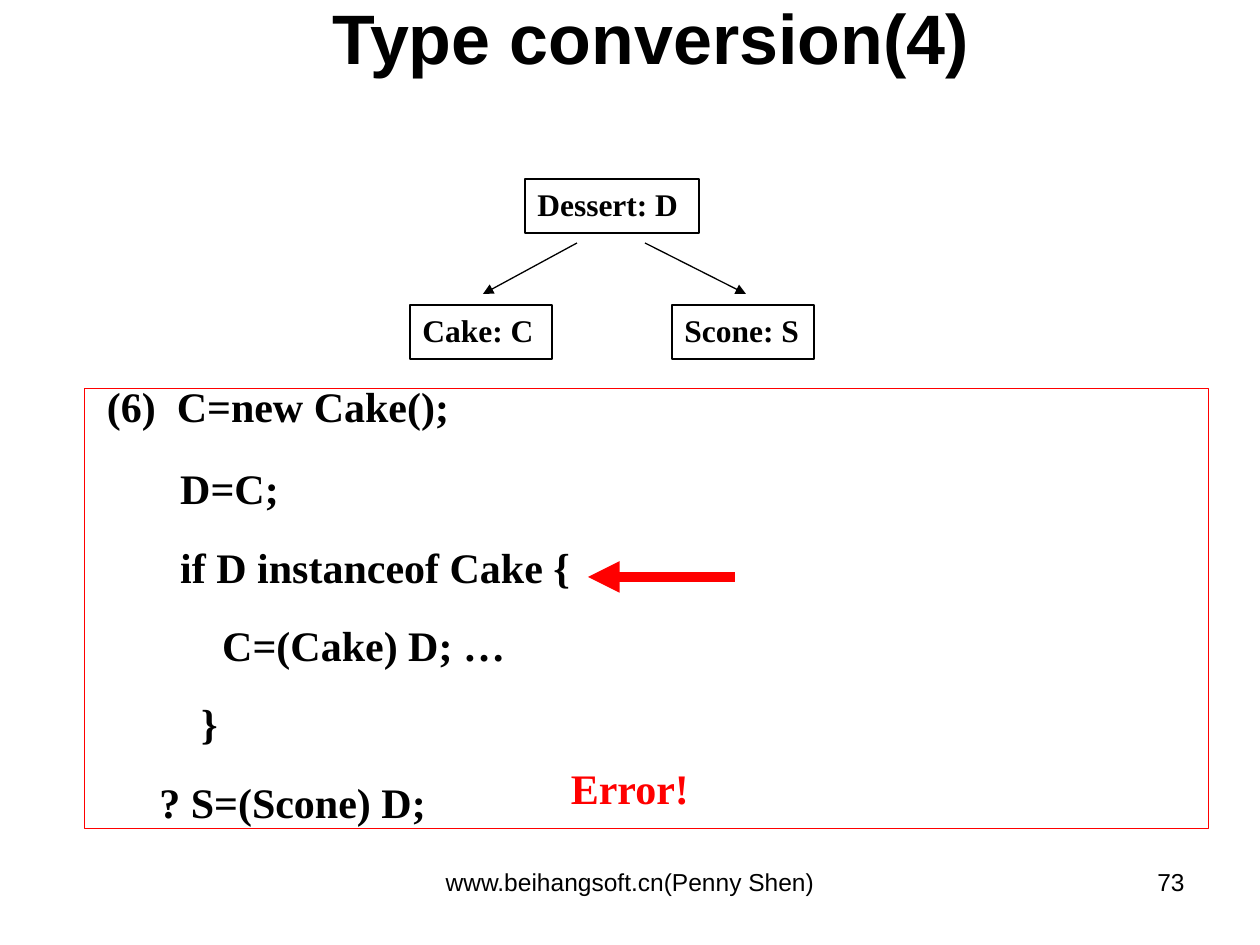
import pptx
import pptx.dml.color
import pptx.enum.shapes
import pptx.enum.text
import pptx.oxml
import pptx.oxml.ns
import pptx.util

BLACK = pptx.dml.color.RGBColor(0, 0, 0)
WHITE = pptx.dml.color.RGBColor(255, 255, 255)
RED = pptx.dml.color.RGBColor(255, 0, 0)
ALIGN = pptx.enum.text.PP_ALIGN
SANS = "Arial"
SERIF = "Times New Roman"
PIXELS_PER_INCH = 126

CODE_LINES = [
    (" (6)  C=new Cake();", 0),
    ("        D=C;", 19),
    ("        if D instanceof Cake {", 16),
    ("            C=(Cake) D; …", 16),
    ("          }", 16),
    ("      ? S=(Scone) D;", 16),
]


def px(value):
    return pptx.util.Inches(value / PIXELS_PER_INCH)


def format_paragraph(paragraph, size, name, color=BLACK, bold=False, align=ALIGN.LEFT):
    paragraph.alignment = align
    font = paragraph.font
    font.size = pptx.util.Pt(size)
    font.name = name
    font.bold = bold
    font.color.rgb = color


def set_title(slide, text):
    title = slide.shapes.title
    title.left, title.top, title.width, title.height = px(62), px(0), px(1177), px(73)
    title.text_frame.text = text
    title.text_frame.vertical_anchor = pptx.enum.text.MSO_ANCHOR.MIDDLE
    format_paragraph(title.text_frame.paragraphs[0], 40, SANS, bold=True, align=ALIGN.CENTER)


def add_label(slide, text, left, top, width, height, size, name, **style):
    box = slide.shapes.add_textbox(px(left), px(top), px(width), px(height))
    box.text_frame.word_wrap = True
    box.text_frame.text = text
    format_paragraph(box.text_frame.paragraphs[0], size, name, **style)


def add_frame(slide, left, top, width, height, line_color, line_width):
    shape = slide.shapes.add_shape(
        pptx.enum.shapes.MSO_SHAPE.RECTANGLE, px(left), px(top), px(width), px(height))
    shape.shadow.inherit = False
    shape.fill.background()
    shape.line.color.rgb = line_color
    shape.line.width = pptx.util.Pt(line_width)
    shape.text_frame.word_wrap = True
    shape.text_frame.vertical_anchor = pptx.enum.text.MSO_ANCHOR.TOP
    return shape


def add_class_box(slide, text, left, top, width):
    shape = add_frame(slide, left, top, width, 54, BLACK, 0.75)
    shape.fill.solid()
    shape.fill.fore_color.rgb = WHITE
    shape.text_frame.text = text
    format_paragraph(shape.text_frame.paragraphs[0], 18, SERIF, bold=True)


def add_code_box(slide, lines):
    frame = add_frame(slide, 84, 388, 1124, 440, RED, 0.25).text_frame
    frame.text = "\n".join(text for text, space in lines)
    for paragraph, (text, space) in zip(frame.paragraphs, lines):
        paragraph.space_before = pptx.util.Pt(space)
        format_paragraph(paragraph, 24, SERIF, bold=True)
    frame.paragraphs[0].line_spacing = 0.7


def add_arrow(slide, start, end, color, width):
    connector = slide.shapes.add_connector(
        pptx.enum.shapes.MSO_CONNECTOR.STRAIGHT, *map(px, start + end))
    connector.line.color.rgb = color
    connector.line.width = pptx.util.Pt(width)
    namespace = pptx.oxml.ns.nsdecls("a")
    connector.line._get_or_add_ln().append(
        pptx.oxml.parse_xml(f'<a:tailEnd {namespace} type="triangle"/>'))
    connector._element.spPr.append(pptx.oxml.parse_xml(f"<a:effectLst {namespace}/>"))


def main():
    presentation = pptx.Presentation()
    presentation.slide_width = px(1260)
    presentation.slide_height = px(945)
    slide = presentation.slides.add_slide(presentation.slide_layouts[5])

    set_title(slide, "Type conversion(4)")
    add_class_box(slide, "Dessert: D", 525, 179, 174)
    add_class_box(slide, "Cake: C", 410, 305, 142)
    add_class_box(slide, "Scone: S", 672, 305, 142)
    add_arrow(slide, (577, 243), (483, 294), BLACK, 0.75)
    add_arrow(slide, (645, 243), (746, 294), BLACK, 0.75)

    add_code_box(slide, CODE_LINES)
    add_label(slide, "Error!", 504, 756, 252, 63, 24, SERIF,
              color=RED, bold=True, align=ALIGN.CENTER)
    add_arrow(slide, (735, 577), (588, 577), RED, 6)

    add_label(slide, "www.beihangsoft.cn(Penny Shen)", 430, 861, 400, 66, 14, SANS,
              align=ALIGN.CENTER)
    add_label(slide, "73", 903, 861, 294, 66, 14, SANS, align=ALIGN.RIGHT)
    presentation.save("out.pptx")


if __name__ == "__main__":
    main()
